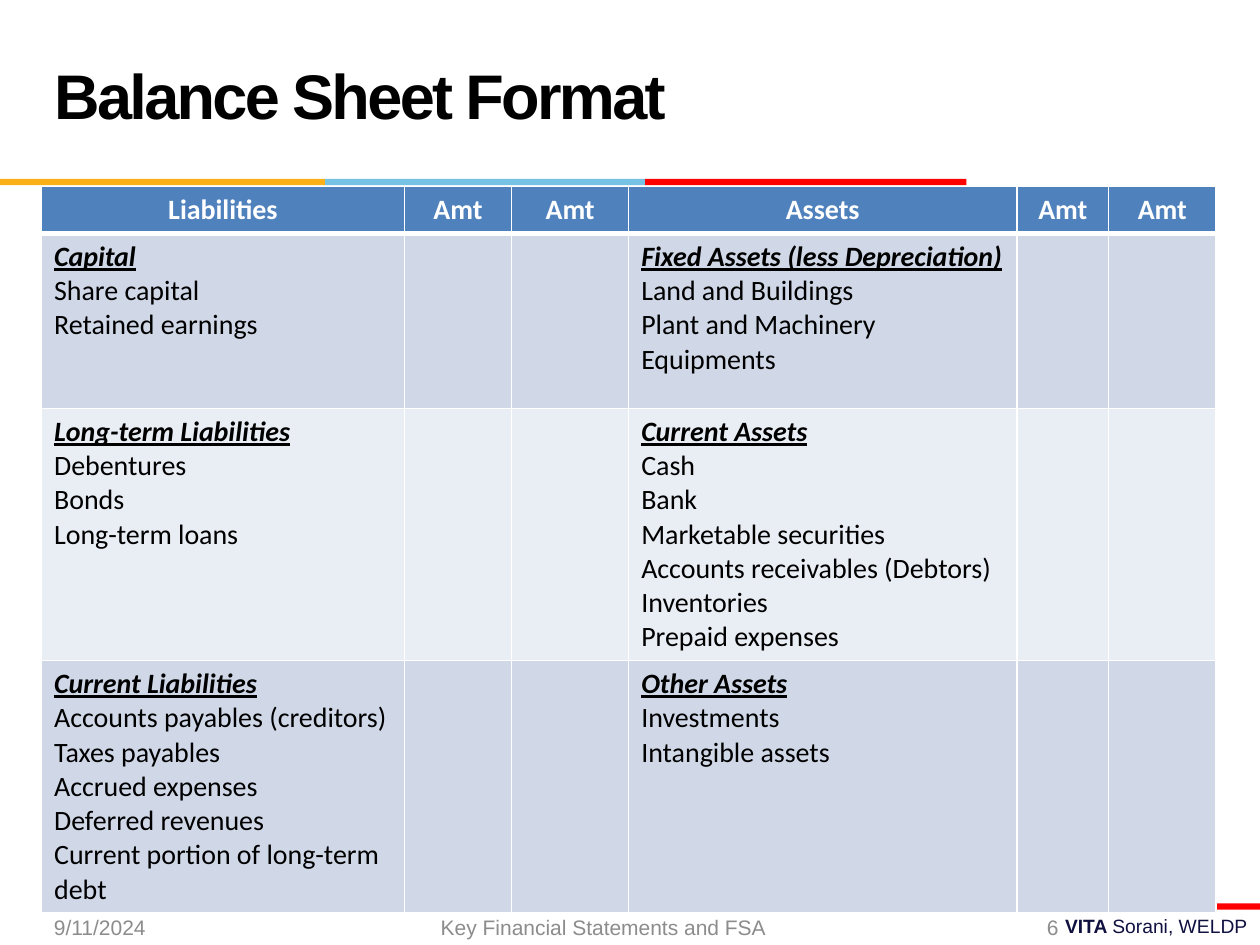
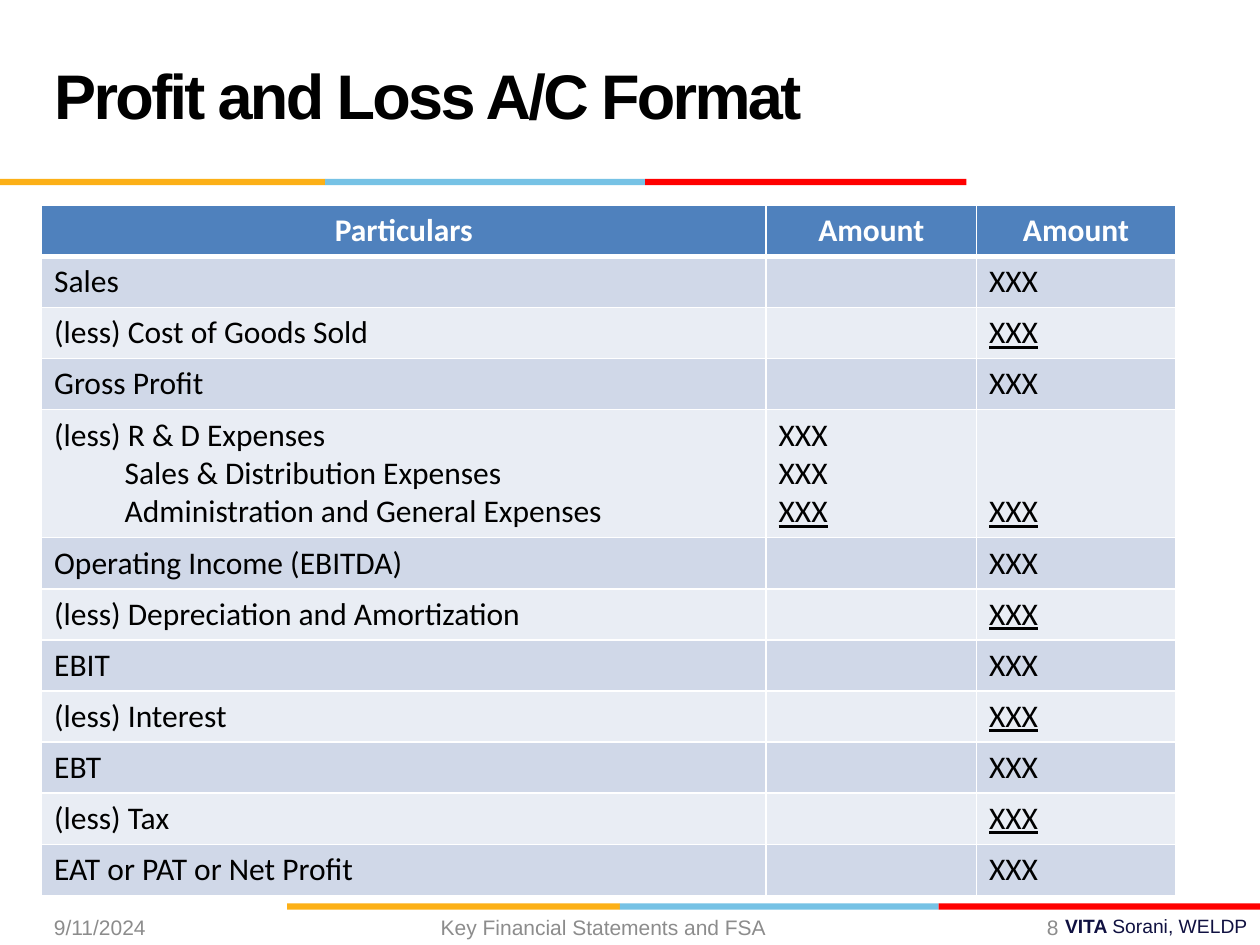
from lxml import etree
from pptx import Presentation
from pptx.dml.color import RGBColor
from pptx.enum.shapes import MSO_SHAPE
from pptx.enum.text import MSO_ANCHOR, PP_ALIGN
from pptx.oxml.ns import qn
from pptx.util import Inches, Pt

RECTANGLE = MSO_SHAPE.RECTANGLE
TOP, MIDDLE, BOTTOM = MSO_ANCHOR.TOP, MSO_ANCHOR.MIDDLE, MSO_ANCHOR.BOTTOM
LEFT, CENTER, RIGHT = PP_ALIGN.LEFT, PP_ALIGN.CENTER, PP_ALIGN.RIGHT

BLACK = RGBColor(0x00, 0x00, 0x00)
WHITE = RGBColor(0xFF, 0xFF, 0xFF)
GREY = RGBColor(0x8C, 0x8C, 0x8C)
NAVY = RGBColor(0x10, 0x11, 0x41)
YELLOW = RGBColor(0xFC, 0xB0, 0x17)
SKY = RGBColor(0x76, 0xC2, 0xE5)
RED = RGBColor(0xFF, 0x00, 0x00)
HEADER_BLUE = RGBColor(0x4F, 0x81, 0xBD)
ROW_FILLS = (RGBColor(0xD0, 0xD8, 0xE8), RGBColor(0xE9, 0xED, 0xF4))

BAND_COLORS = (YELLOW, SKY, RED)
BAND_HEIGHT = 0.05
TITLE_BAND = (1.42, (0, 2.58, 5.12, 7.67))
FOOTER_BAND = (7.17, (2.28, 4.92, 7.45, 10))

FOOTER_TOP, FOOTER_HEIGHT = 7.21, 0.29
DATE = "9/11/2024"
FOOTER = "Key Financial Statements and FSA"
INSTITUTE = ("VITA ", "Sorani, WELDP")
EXPENSE_INDENT = 0.56

BALANCE_SHEET = {
    "title": "Balance Sheet Format",
    "number": "6",
    "top": 1.48,
    "size": 16,
    "columns": (2.88, 0.85, 0.93, 3.08, 0.73, 0.85),
    "heights": (0.36, 1.39, 2, 2),
    "header": ("Liabilities", "Amt", "Amt", "Assets", "Amt", "Amt"),
    "rows": [
        {
            0: ["Capital", "Share capital", "Retained earnings"],
            3: ["Fixed Assets (less Depreciation)", "Land and Buildings",
                "Plant and Machinery", "Equipments"],
        },
        {
            0: ["Long-term Liabilities", "Debentures", "Bonds", "Long-term loans"],
            3: ["Current Assets", "Cash", "Bank", "Marketable securities",
                "Accounts receivables (Debtors)", "Inventories", "Prepaid expenses"],
        },
        {
            0: ["Current Liabilities", "Accounts payables (creditors)",
                "Taxes payables", "Accrued expenses", "Deferred revenues",
                "Current portion of long-term debt"],
            3: ["Other Assets", "Investments", "Intangible assets"],
        },
    ],
}

PROFIT_LINES = [
    ["Sales"],
    ["(less) Cost of Goods Sold"],
    ["Gross Profit"],
    ["(less) R & D Expenses", "Sales & Distribution Expenses",
     "Administration and General Expenses"],
    ["Operating Income (EBITDA)"],
    ["(less) Depreciation and Amortization"],
    ["EBIT"],
    ["(less) Interest"],
    ["EBT"],
    ["(less) Tax"],
    ["EAT or PAT or Net Profit"],
]


def profit_row(lines):
    row = {0: lines, 2: ["XXX"]}
    if len(lines) > 1:
        row[1] = ["XXX"] * len(lines)
    return row


PROFIT_AND_LOSS = {
    "title": "Profit and Loss A/C Format",
    "number": "8",
    "top": 1.63,
    "size": 18,
    "columns": (5.75, 1.67, 1.58),
    "heights": [0.4] + [0.4 if len(lines) == 1 else 1.01 for lines in PROFIT_LINES],
    "header": ("Particulars", "Amount", "Amount"),
    "rows": [profit_row(lines) for lines in PROFIT_LINES],
}


def format_run(run, name, size, color, bold=False):
    run.font.name = name
    run.font.size = Pt(size)
    run.font.color.rgb = color
    run.font.bold = bold


def add_band(slide, top, edges):
    for color, left, right in zip(BAND_COLORS, edges, edges[1:]):
        shape = slide.shapes.add_shape(
            RECTANGLE, Inches(left), Inches(top), Inches(right - left), Inches(BAND_HEIGHT))
        shape.fill.solid()
        shape.fill.fore_color.rgb = color
        shape.line.fill.background()
        shape.shadow.inherit = False


def add_footer_text(slide, left, width, texts, alignment, size=12, color=GREY, anchor=MIDDLE):
    box = slide.shapes.add_textbox(
        Inches(left), Inches(FOOTER_TOP), Inches(width), Inches(FOOTER_HEIGHT))
    text_frame = box.text_frame
    text_frame.word_wrap = True
    text_frame.vertical_anchor = anchor
    paragraph = text_frame.paragraphs[0]
    paragraph.alignment = alignment
    for index, text in enumerate(texts):
        run = paragraph.add_run()
        run.text = text
        format_run(run, "Arial", size, color, bold=index < len(texts) - 1)


def add_title(slide, text):
    title = slide.shapes.title
    title.left, title.top = Inches(0.33), Inches(0.17)
    title.width, title.height = Inches(6.92), Inches(1.25)
    title.text_frame.text = text
    title.text_frame.vertical_anchor = MIDDLE
    paragraph = title.text_frame.paragraphs[0]
    paragraph.alignment = LEFT
    paragraph.line_spacing = Pt(36)
    run = paragraph.runs[0]
    format_run(run, "Arial", 36, BLACK, bold=True)
    run.font._element.set("spc", "-150")


def set_borders(cell, top, bottom):
    properties = cell._tc.get_or_add_tcPr()
    sides = (("a:lnL", 1), ("a:lnR", 1), ("a:lnT", top), ("a:lnB", bottom))
    for index, (tag, width) in enumerate(sides):
        line = etree.Element(qn(tag), w=str(Pt(width)))
        fill = etree.SubElement(line, qn("a:solidFill"))
        etree.SubElement(fill, qn("a:srgbClr"), val=str(WHITE))
        properties.insert(index, line)


def fill_cell(cell, lines, size, fill, color=BLACK, bold=False, alignment=LEFT):
    cell.fill.solid()
    cell.fill.fore_color.rgb = fill
    cell.text_frame.text = "\n".join(lines)
    for paragraph in cell.text_frame.paragraphs:
        paragraph.alignment = alignment
        paragraph.font.size = Pt(size)
        for run in paragraph.runs:
            format_run(run, "Calibri", size, color, bold)


def add_statement(slide, statement):
    columns, heights = statement["columns"], statement["heights"]
    size = statement["size"]
    table = slide.shapes.add_table(
        len(heights), len(columns), Inches(0.33), Inches(statement["top"]),
        Inches(sum(columns)), Inches(sum(heights))).table
    for column, width in zip(table.columns, columns):
        column.width = Inches(width)
    for row, height in zip(table.rows, heights):
        row.height = Inches(height)
    for column, text in enumerate(statement["header"]):
        cell = table.cell(0, column)
        fill_cell(cell, [text], size, HEADER_BLUE, WHITE, True, CENTER)
        set_borders(cell, 1, 3)
    for row, content in enumerate(statement["rows"], 1):
        for column in range(len(columns)):
            cell = table.cell(row, column)
            fill_cell(cell, content.get(column, []), size, ROW_FILLS[(row - 1) % 2])
            set_borders(cell, 3 if row == 1 else 1, 1)
    return table


def style_group_headings(table):
    for row in range(1, len(table.rows)):
        for column in (0, 3):
            font = table.cell(row, column).text_frame.paragraphs[0].runs[0].font
            font.bold = font.italic = font.underline = True


def style_deductions(table):
    for row, lines in enumerate(PROFIT_LINES, 1):
        if not lines[0].startswith("(less)"):
            continue
        for paragraph in table.cell(row, 0).text_frame.paragraphs[1:]:
            paragraph._p.get_or_add_pPr().set("marL", str(Inches(EXPENSE_INDENT)))
        for column in (1, 2):
            for run in table.cell(row, column).text_frame.paragraphs[-1].runs:
                run.font.underline = True
        table.cell(row, 2).vertical_anchor = BOTTOM


def add_statement_slide(presentation, statement, style_table):
    slide = presentation.slides.add_slide(presentation.slide_layouts[5])
    add_title(slide, statement["title"])
    add_band(slide, *TITLE_BAND)
    add_band(slide, *FOOTER_BAND)
    style_table(add_statement(slide, statement))
    add_footer_text(slide, 0.33, 2.33, [DATE], LEFT)
    add_footer_text(slide, 2.25, 5.08, [FOOTER], CENTER)
    add_footer_text(slide, 7.39, 1.11, [statement["number"]], RIGHT)
    add_footer_text(slide, 7.83, 2.17, INSTITUTE, RIGHT, 11, NAVY, TOP)


def main():
    presentation = Presentation()
    presentation.slide_width, presentation.slide_height = Inches(10), Inches(7.5)
    add_statement_slide(presentation, BALANCE_SHEET, style_group_headings)
    add_statement_slide(presentation, PROFIT_AND_LOSS, style_deductions)
    presentation.save("out.pptx")


if __name__ == "__main__":
    main()
